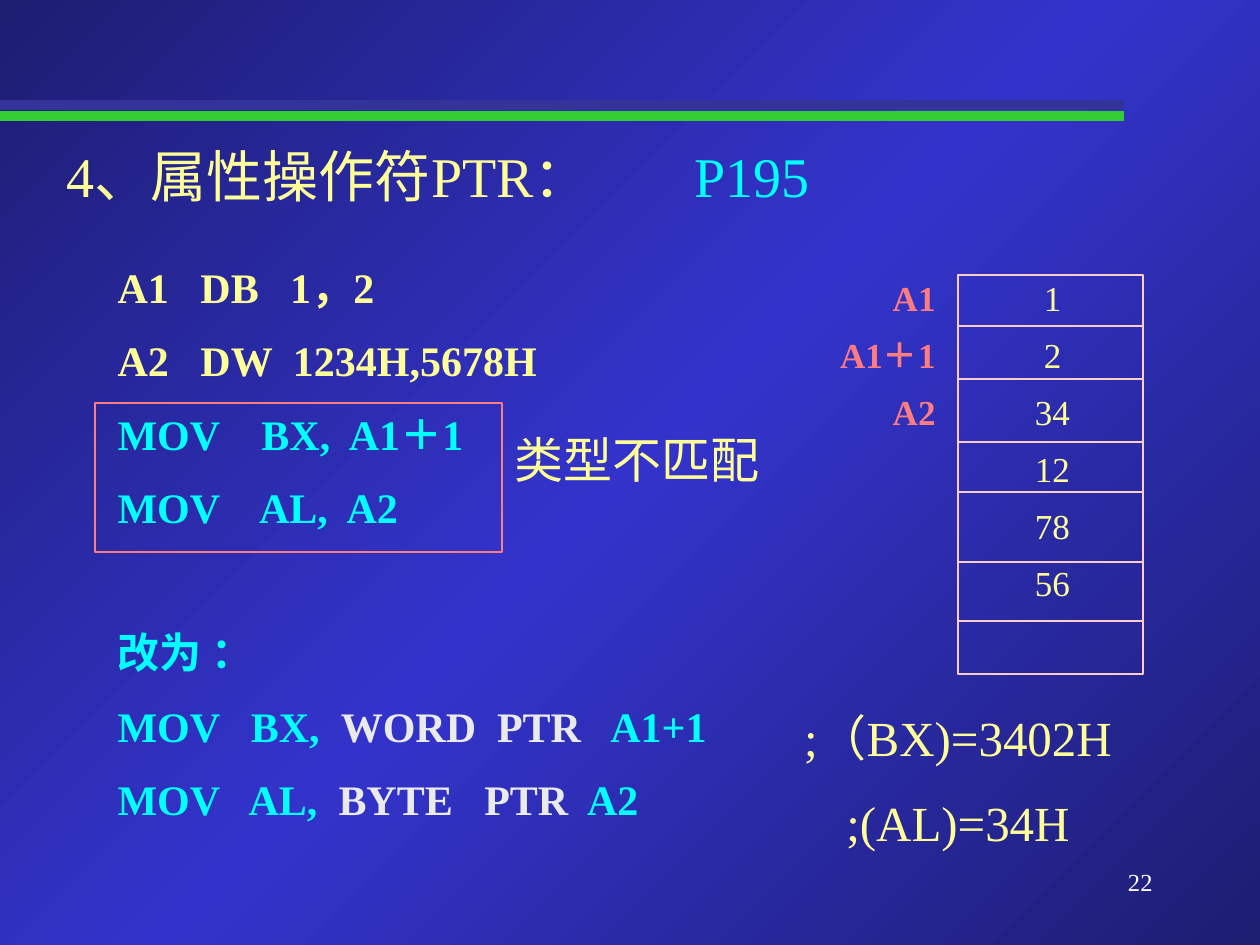
from copy import deepcopy

from pptx import Presentation
from pptx.dml.color import RGBColor as RGB
from pptx.enum.shapes import MSO_CONNECTOR as Line, MSO_SHAPE as Shape
from pptx.enum.text import MSO_ANCHOR as Anchor, MSO_AUTO_SIZE as Fit, PP_ALIGN as Align
from pptx.oxml.ns import qn
from pptx.oxml.xmlchemy import OxmlElement as Tag
from pptx.util import Pt

NAVY, BLUE = RGB(0x1D, 0x1D, 0x72), RGB(0x33, 0x33, 0xCC)
GREEN, INDIGO = RGB(0x33, 0xCC, 0x33), RGB(0x33, 0x33, 0x99)
CREAM, CYAN = RGB(0xFF, 0xFF, 0x99), RGB(0x00, 0xFF, 0xFF)
PINK, ROSE = RGB(0xFF, 0xCC, 0xCC), RGB(0xFF, 0x7C, 0x80)
GREY, WHITE = RGB(0xEA, 0xEA, 0xEA), RGB(0xFF, 0xFF, 0xFF)
FONT = "Times New Roman"

# Content: a line is a string, or a list of (text, colour) runs
HEAD = [[("4、属性操作符PTR：\t", CREAM), ("P195", CYAN)]]
CODE = [
    [("A1   DB   1，2", CREAM)],
    [("A2   DW  1234H,5678H", CREAM)],
    "MOV    BX,  A1＋1",
    "MOV    AL,  A2",
    "改为 ：",
    [("MOV   BX,  ", CYAN), ("WORD  PTR", GREY), ("   A1+1", CYAN)],
    [("MOV   AL,  ", CYAN), ("BYTE   PTR", GREY), ("  A2", CYAN)],
]
FIX = 4  # the line of CODE that opens the corrected part
BYTES = ["1", "2", "34", "12", "78", "56"]
NAMES = ["A1", "A1＋1", "A2"]
NOTE = ["类型不匹配"]
RESULT = [";（BX)=3402H", ";(AL)=34H"]
PAGE = ["22"]

# Layout, in px
SCALE = 914400 / 126
BARS = [(116, GREEN), (105, INDIGO)]
BAR_END = 1124
MEMORY = (958, 275, 185, 399)
RULES = [326, 379, 442, 492, 562, 621]
WRONG = (95, 403, 407, 149)
TAB = 628


def px(n):
    return round(n * SCALE)


def place(shape, box):
    shape.left, shape.top, shape.width, shape.height = map(px, box)


def write(shape, lines, size=20, color=CREAM, bold=False, align=Align.LEFT, lead=1.0):
    frame = shape.text_frame
    frame.word_wrap, frame.auto_size = True, Fit.NONE
    frame.vertical_anchor = Anchor.TOP
    for i, line in enumerate(lines):
        para = frame.paragraphs[0] if i == 0 else frame.add_paragraph()
        para.alignment, para.line_spacing = align, lead
        para.space_before = Pt(size * 0.55)
        for text, tint in [(line, color)] if isinstance(line, str) else line:
            run = para.add_run()
            run.text = text
            font = run.font
            font.name, font.size, font.bold = FONT, Pt(size), bold
            font.color.rgb = tint
    return frame


def label(box, lines, **style):
    return write(slide.shapes.add_textbox(*map(px, box)), lines, **style)


def rule(x1, x2, y, color, width):
    line = slide.shapes.add_connector(Line.STRAIGHT, px(x1), px(y), px(x2), px(y))
    line.line.color.rgb, line.line.width = color, Pt(width)
    line._element.spPr.append(Tag("a:effectLst"))


def outline(box, color):
    rect = slide.shapes.add_shape(Shape.RECTANGLE, *map(px, box))
    rect.shadow.inherit = False
    rect.fill.background()
    rect.line.color.rgb, rect.line.width = color, Pt(0.75)


deck = Presentation()
deck.slide_width, deck.slide_height = px(1260), px(945)
slide = deck.slides.add_slide(deck.slide_layouts[1])

# Background: dark corners, light diagonal
fill = slide.background.fill
fill.gradient()
fill.gradient_angle = 315
first = next(slide._element.iter(qn("a:gs")))
first.getparent().append(deepcopy(first))
for stop, color, pos in zip(fill.gradient_stops, (NAVY, BLUE, NAVY), (0, 0.5, 1)):
    stop.color.rgb, stop.position = color, pos

# Bars above the title
for y, color in BARS:
    rule(0, BAR_END, y, color, 5.5)

# Title, with a tab stop before the page reference
title = slide.shapes.title
place(title, (54, 135, 1111, 79))
head = write(title, HEAD, size=32)
tabs, tab = Tag("a:tabLst"), Tag("a:tab")
tab.set("pos", str(px(TAB)))
tab.set("algn", "l")
tabs.append(tab)
head.paragraphs[0]._p.get_or_add_pPr().append(tabs)

# Code listing, without bullets
body = slide.placeholders[1]
place(body, (105, 255, 674, 591))
code = write(body, CODE, size=24, color=CYAN, bold=True)
for para in code.paragraphs:
    props = para._p.get_or_add_pPr()
    props.set("marL", "0")
    props.set("indent", "0")
    props.append(Tag("a:buNone"))
code.paragraphs[FIX].space_before = Pt(54)

# Memory cells and their names
outline(MEMORY, PINK)
left, top, width, _ = MEMORY
for y in RULES:
    rule(left, left + width, y, PINK, 0.75)
label((968, top, 169, 345), BYTES, align=Align.CENTER, lead=0.9)
label((799, top, 149, 345), NAMES, color=ROSE, bold=True, align=Align.RIGHT, lead=0.9)

# Wrong lines, results and page number
outline(WRONG, ROSE)
label((502, 423, 287, 72), NOTE, size=28)
label((730, 701, 456, 160), RESULT, size=28, align=Align.CENTER)
label((903, 861, 262, 63), PAGE, size=14, color=WHITE, align=Align.RIGHT)

deck.save("out.pptx")
